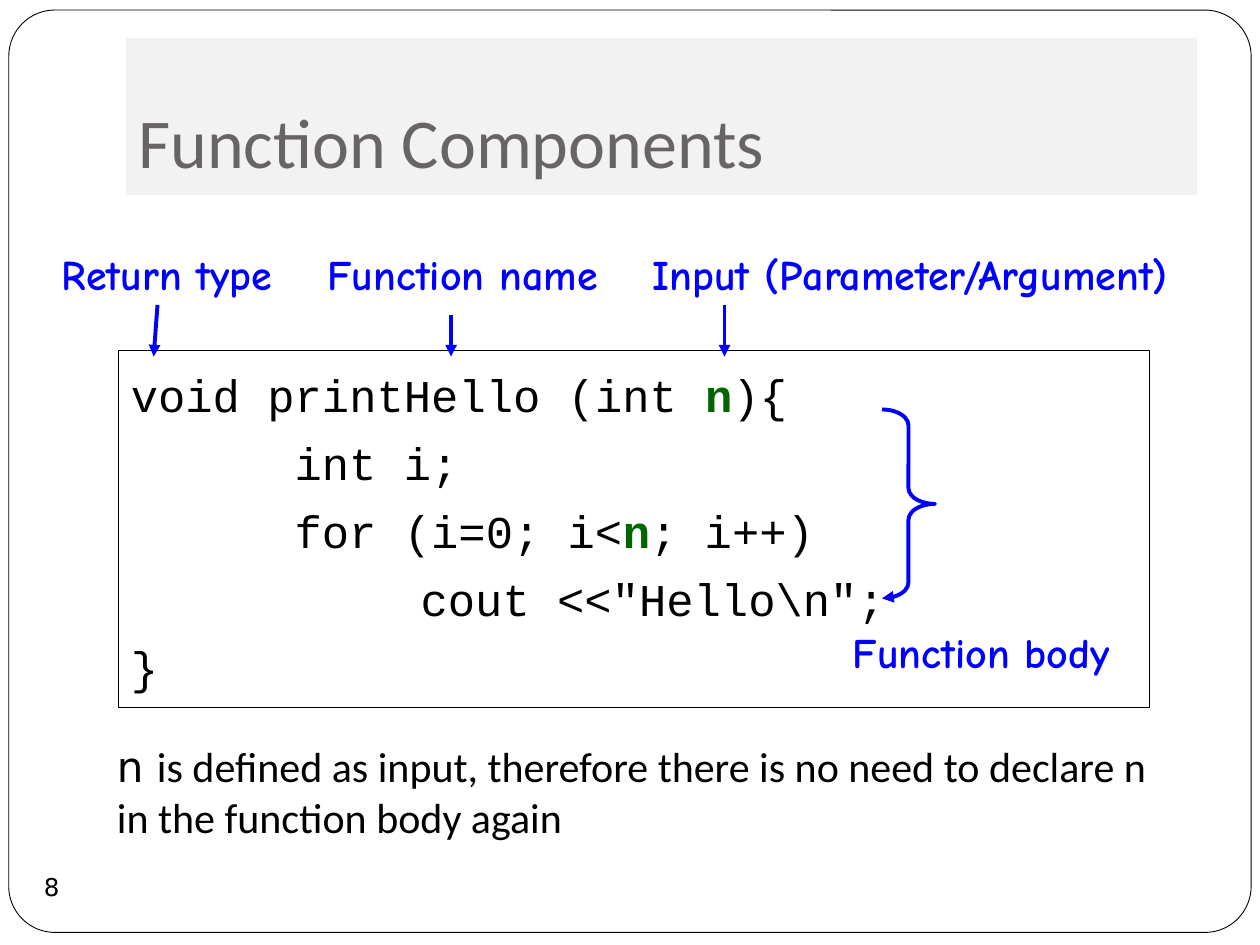
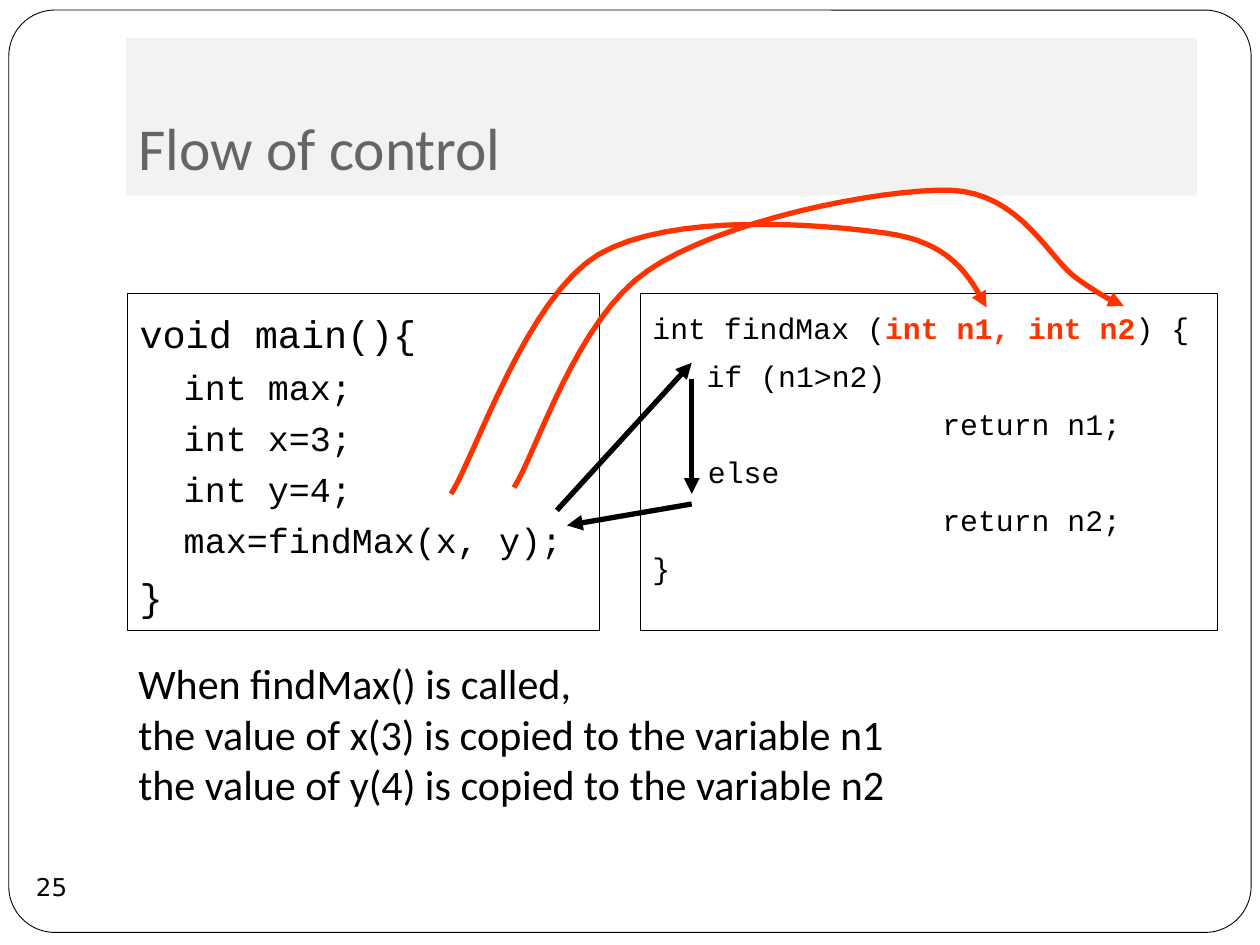
from dataclasses import dataclass

from lxml.etree import SubElement
from pptx import Presentation
from pptx.dml.color import RGBColor
from pptx.enum.shapes import MSO_CONNECTOR, MSO_SHAPE
from pptx.enum.text import MSO_ANCHOR, PP_ALIGN
from pptx.oxml.ns import qn
from pptx.util import Inches, Pt


@dataclass(frozen=True)
class Theme:
    black: str = "000000"
    white: str = "FFFFFF"
    band: str = "F2F2F2"
    title: str = "696464"
    blue: str = "0000FF"
    green: str = "006600"
    red: str = "FF3300"
    sans: str = "Calibri"
    hand: str = "Comic Neue"
    mono: str = "Courier New"
    plain: str = "DejaVu Sans"
    note_size: float = 24
    label_size: float = 24
    number_size: float = 14
    frame_width: float = 0.5
    code_border: float = 0.25
    label_arrow: float = 2.25
    flow_arrow: float = 3


@dataclass(frozen=True)
class Line:
    """A paragraph; each run is a string or a (string, format overrides) pair."""
    runs: tuple
    indent: float = 0
    before: float = 0
    size: float = None


def code(*runs, indent=0, before=5.8, size=None):
    return Line(runs, indent, before, size)


def write(frame, lines, *, size, font, color, bold=False, align=None,
          spacing=None, wrap=True, anchor=MSO_ANCHOR.TOP, insets=(0.1, 0.05, 0.1, 0.05)):
    frame.word_wrap = wrap
    frame.vertical_anchor = anchor
    (frame.margin_left, frame.margin_top,
     frame.margin_right, frame.margin_bottom) = map(Inches, insets)
    for index, line in enumerate(lines):
        paragraph = frame.add_paragraph() if index else frame.paragraphs[0]
        paragraph.alignment = align or PP_ALIGN.LEFT
        if line.indent:
            paragraph._p.get_or_add_pPr().set("marL", str(Inches(line.indent)))
        if index and line.before:
            paragraph.space_before = Pt(line.before)
        if spacing:
            paragraph.line_spacing = spacing
        for part in line.runs:
            words, changes = (part, {}) if isinstance(part, str) else part
            style = dict(size=line.size or size, font=font, color=color, bold=bold) | changes
            run = paragraph.add_run()
            run.text = words
            run.font.size = Pt(style["size"])
            run.font.name = style["font"]
            run.font.bold = style["bold"]
            run.font.color.rgb = RGBColor.from_string(style["color"])


def stroke(element, color, width, arrow=False):
    element.line.color.rgb = RGBColor.from_string(color)
    element.line.width = Pt(width)
    if arrow:
        SubElement(element.line._get_or_add_ln(), qn("a:tailEnd"), type="triangle")


def curve_points(start, segments, steps=16):
    """Points along joined cubic Bézier segments, each (control, control, end)."""
    points = [start]
    for control_a, control_b, end in segments:
        for step in range(1, steps + 1):
            t = step / steps
            u = 1 - t
            points.append(tuple(
                u**3 * a + 3 * u**2 * t * b + 3 * u * t**2 * c + t**3 * d
                for a, b, c, d in zip(start, control_a, control_b, end)))
        start = end
    return points


class Deck:
    def __init__(self, theme):
        self.theme = theme
        self.presentation = Presentation()
        self.presentation.slide_width = Inches(10)
        self.presentation.slide_height = Inches(7.5)
        self.slide = None

    def new_slide(self, title, number, title_size):
        theme = self.theme
        self.slide = self.presentation.slides.add_slide(self.presentation.slide_layouts[6])
        frame = self.shape(MSO_SHAPE.ROUNDED_RECTANGLE, (0.07, 0.08, 9.86, 7.32),
                           fill=theme.white, line=theme.black, width=theme.frame_width)
        frame.adjustments[0] = 0.05
        band = self.shape(MSO_SHAPE.RECTANGLE, (1, 0.3, 8.5, 1.25), fill=theme.band)
        write(band.text_frame, [Line((title,))], size=title_size, font=theme.sans,
              color=theme.title, anchor=MSO_ANCHOR.BOTTOM, insets=(0.1, 0.05, 0.1, 0.1))
        self.text((0.16, 6.79, 0.5, 0.5), [Line((number,))], size=theme.number_size,
                  font=theme.plain, align=PP_ALIGN.CENTER, wrap=False,
                  anchor=MSO_ANCHOR.MIDDLE, insets=(0, 0, 0, 0))

    def shape(self, preset, box, fill=None, line=None, width=1, arrow=False):
        shape = self.slide.shapes.add_shape(preset, *map(Inches, box))
        shape.shadow.inherit = False
        if fill:
            shape.fill.solid()
            shape.fill.fore_color.rgb = RGBColor.from_string(fill)
        else:
            shape.fill.background()
        if line:
            stroke(shape, line, width, arrow)
        else:
            shape.line.fill.background()
        return shape

    def text(self, box, lines, **text_format):
        area = self.slide.shapes.add_textbox(*map(Inches, box))
        write(area.text_frame, lines, **{"color": self.theme.black} | text_format)

    def label(self, words, left, top, width):
        self.text((left, top, width, 0.5), [Line((words,))], size=self.theme.label_size,
                  font=self.theme.hand, color=self.theme.blue, bold=True, wrap=False)

    def note(self, box, *lines):
        self.text(box, lines, size=self.theme.note_size, font=self.theme.sans)

    def code_box(self, box, size, *lines):
        theme = self.theme
        panel = self.shape(MSO_SHAPE.RECTANGLE, box, line=theme.black, width=theme.code_border)
        write(panel.text_frame, lines, size=size, font=theme.mono, color=theme.black,
              spacing=1.06, insets=(0.1, 0.11, 0.1, 0.05))

    def arrow(self, start, end, color, width):
        connector = self.slide.shapes.add_connector(
            MSO_CONNECTOR.STRAIGHT, *map(Inches, (*start, *end)))
        stroke(connector, color, width, arrow=True)
        SubElement(connector._element.spPr, qn("a:effectLst"))

    def curved_arrow(self, start, *segments):
        first, *rest = [tuple(map(Inches, point)) for point in curve_points(start, segments)]
        builder = self.slide.shapes.build_freeform(*first)
        builder.add_line_segments(rest, close=False)
        curve = builder.convert_to_shape()
        curve.shadow.inherit = False
        curve.fill.background()
        stroke(curve, self.theme.red, self.theme.flow_arrow, arrow=True)


def function_components(deck):
    theme = deck.theme
    deck.new_slide("Function Components", "8", title_size=40)
    parameter = ("n", {"color": theme.green, "bold": True})
    deck.code_box(
        (0.94, 2.78, 8.18, 2.83), 26,
        code("void printHello (int ", parameter, "){"),
        code("int i;", indent=1.3),
        code("for (i=0; i<", parameter, "; i++)", indent=1.3),
        code(r'cout <<"Hello\n";', indent=2.3),
        code("}"))
    signature_labels = [
        ("Input (Parameter/Argument)", 5.08, 4.81, (5.75, 2.42), 5.75),
        ("Function name", 2.5, 2.48, (3.58, 2.5), 3.58),
        ("Return type", 0.39, 2.11, (1.25, 2.42), 1.22),
    ]
    for words, left, width, arrow_start, arrow_end in signature_labels:
        deck.arrow(arrow_start, (arrow_end, 2.83), theme.blue, theme.label_arrow)
        deck.label(words, left, 1.92, width)
    body_brace = deck.shape(MSO_SHAPE.RIGHT_BRACE, (7, 3.25, 0.42, 1.5),
                            line=theme.blue, width=theme.label_arrow, arrow=True)
    body_brace.adjustments[0] = 0.3
    deck.label("Function body", 6.67, 4.92, 2.42)
    deck.note((0.83, 5.83, 8.42, 0.91), Line((
        ("n ", {"font": theme.plain}),
        "is defined as input, therefore there is no need to declare n "
        "in the function body again")))


def flow_of_control(deck):
    theme = deck.theme
    deck.new_slide("Flow of control", "25", title_size=34)
    deck.code_box(
        (5.08, 2.33, 4.58, 2.67), 17,
        code("int findMax (", ("int n1, int n2", {"color": theme.red, "bold": True}), ") {"),
        code("if (n1>n2)", indent=0.43),
        code("return n1;", indent=2.3),
        code("else", indent=0.44),
        code("return n2;", indent=2.3),
        code("}"))
    statements = ["int max;", "int x=3;", "int y=4;", "max=findMax(x, y);"]
    deck.code_box(
        (1.01, 2.33, 3.75, 2.67), 22,
        code("void main(){"),
        *[code(statement, indent=0.35, before=3.7, size=20) for statement in statements],
        code("}"))
    call, run, give_back = (((4.42, 4.05), (5.49, 2.88)),
                            ((5.49, 3.01), (5.49, 3.92)),
                            ((5.49, 4), (4.5, 4.17)))
    for start, end in (call, run, give_back):
        deck.arrow(start, end, theme.black, theme.flow_arrow)
    deck.curved_arrow((3.58, 3.92),
                      ((3.78, 3.6), (4.18, 2.36), (4.75, 2.02)),
                      ((5.33, 1.68), (6.52, 1.78), (7.03, 1.85)),
                      ((7.54, 1.92), (7.69, 2.18), (7.83, 2.44)))
    deck.note((1, 5.17, 8.36, 1.31),
              Line(("When findMax() is called,",)),
              Line(("the value of x(3) is copied to the variable n1",)),
              Line(("the value of y(4) is copied to the variable n2",)))
    deck.curved_arrow((4.08, 3.87),
                      ((4.26, 3.59), (4.57, 2.54), (5.14, 2.15)),
                      ((5.72, 1.75), (6.97, 1.5), (7.54, 1.51)),
                      ((8.11, 1.53), (8.33, 2.07), (8.56, 2.22)),
                      ((8.79, 2.38), (8.84, 2.39), (8.92, 2.43)))


def main():
    deck = Deck(Theme())
    function_components(deck)
    flow_of_control(deck)
    deck.presentation.save("out.pptx")


if __name__ == "__main__":
    main()
